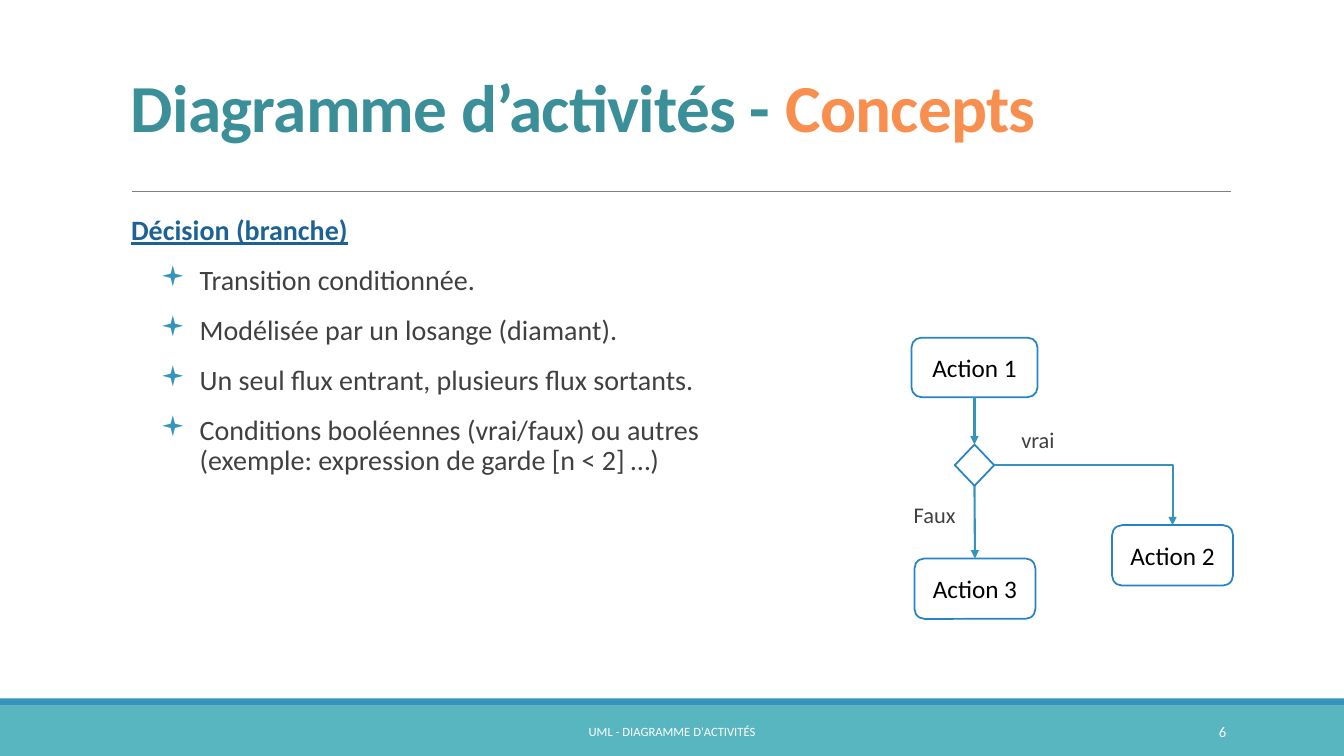
from lxml import etree
from pptx import Presentation
from pptx.dml.color import RGBColor
from pptx.enum.shapes import MSO_CONNECTOR, MSO_SHAPE
from pptx.enum.text import MSO_ANCHOR, PP_ALIGN
from pptx.oxml.ns import qn
from pptx.util import Inches, Pt

RECT, ROUND, DIAMOND = MSO_SHAPE.RECTANGLE, MSO_SHAPE.ROUNDED_RECTANGLE, MSO_SHAPE.DIAMOND
STRAIGHT, ELBOW = MSO_CONNECTOR.STRAIGHT, MSO_CONNECTOR.ELBOW
LEFT, CENTER, RIGHT = PP_ALIGN.LEFT, PP_ALIGN.CENTER, PP_ALIGN.RIGHT
TOP, MIDDLE, BOTTOM = MSO_ANCHOR.TOP, MSO_ANCHOR.MIDDLE, MSO_ANCHOR.BOTTOM
TOP_SITE, BOTTOM_SITE, RIGHT_SITE = 0, 2, 3

WHITE = RGBColor(0xFF, 0xFF, 0xFF)
BLACK = RGBColor(0x00, 0x00, 0x00)
DARK = RGBColor(0x40, 0x40, 0x40)
GRAY = RGBColor(0x80, 0x80, 0x80)
AQUA = RGBColor(0x58, 0xB6, 0xC0)
BLUE = RGBColor(0x34, 0x94, 0xBA)
EDGE = RGBColor(0x26, 0x83, 0xC6)
NAVY = RGBColor(0x1D, 0x62, 0x94)
TEAL = RGBColor(0x3A, 0x8F, 0x98)
ORANGE = RGBColor(0xF8, 0x8F, 0x4E)

FONT = "Calibri"
WIDTH, HEIGHT = 13.33, 7.5
POINTS = [
    "Transition conditionnée.",
    "Modélisée par un losange (diamant).",
    "Un seul flux entrant, plusieurs flux sortants.",
    "Conditions booléennes (vrai/faux) ou autres (exemple: expression de garde [n < 2] …)",
]


def add_run(para, text, size, color, bold=False):
    run = para.add_run()
    run.text = text
    font = run.font
    font.name, font.size, font.bold = FONT, Pt(size), bold
    font.color.rgb = color
    return run


def add_text(slide, box, anchor=TOP, align=LEFT):
    """Add an empty wrapped text box and return its frame."""
    frame = slide.shapes.add_textbox(*map(Inches, box)).text_frame
    frame.word_wrap = True
    frame.vertical_anchor = anchor
    frame.paragraphs[0].alignment = align
    return frame


def add_form(slide, kind, box, fill, edge=None):
    shape = slide.shapes.add_shape(kind, *map(Inches, box))
    shape.shadow.inherit = False
    shape.fill.solid()
    shape.fill.fore_color.rgb = fill
    if edge is None:
        shape.line.fill.background()
    else:
        shape.line.color.rgb = edge
        shape.line.width = Pt(1.25)
    return shape


def add_line(slide, kind, start, end, color, width):
    ends = map(Inches, (*start, *end))
    line = slide.shapes.add_connector(kind, *ends)
    line.line.color.rgb = color
    line.line.width = Pt(width)
    etree.SubElement(line._element.spPr, qn("a:effectLst"))
    return line


def add_arrow(slide, source, site, target, kind=STRAIGHT):
    """Join a site of the source to the top of the target."""
    line = add_line(slide, kind, (0, 0), (1, 1), BLUE, 1.5)
    line.begin_connect(source, site)
    line.end_connect(target, TOP_SITE)
    etree.SubElement(line.line._get_or_add_ln(), qn("a:tailEnd"), type="triangle")
    if kind == ELBOW:
        line._element.spPr.find(qn("a:prstGeom")).set("prst", "bentConnector2")


def set_bullet(para, mark, margin, indent):
    props = para._p.get_or_add_pPr()
    props.set("marL", str(Inches(margin)))
    props.set("indent", str(Inches(indent)))
    color = etree.SubElement(props, qn("a:buClr"))
    etree.SubElement(color, qn("a:srgbClr"), val=str(BLUE))
    etree.SubElement(props, qn("a:buFont"), typeface="Wingdings")
    etree.SubElement(props, qn("a:buChar"), char=mark)


def add_title(slide, box):
    left, top, width, height = box
    frame = add_text(slide, (left, top, width, height - 0.4), BOTTOM)
    para = frame.paragraphs[0]
    para.line_spacing = 0.85
    for text, color in (("Diagramme d’activités - ", TEAL), ("Concepts", ORANGE)):
        run = add_run(para, text, 48, color, True)
        run._r.get_or_add_rPr().set("spc", "-50")
    base = top + height
    add_line(slide, STRAIGHT, (left + 0.11, base), (left + width + 0.01, base), GRAY, 0.5)


def add_body(slide, box):
    frame = add_text(slide, box)
    frame.margin_left = frame.margin_right = 0
    head = frame.paragraphs[0]
    add_run(head, "Décision (branche)", 20, NAVY, True).font.underline = True
    head._p.get_or_add_pPr().set("marL", str(Inches(0.1)))
    for text in POINTS:
        para = frame.add_paragraph()
        add_run(para, text, 20, DARK)
    for para in frame.paragraphs:
        para.line_spacing = 0.9
        para.space_before, para.space_after = Pt(12), Pt(2)
    for para in frame.paragraphs[1:]:
        set_bullet(para, "▪", 0.78, -0.39)


def add_flow(slide, box):
    """Draw the decision with its actions and guards."""
    left, top = box[:2]

    def add_action(text, x, y, width=1.2, height=0.6):
        shape = add_form(slide, ROUND, (left + x, top + y, width, height), WHITE, EDGE)
        frame = shape.text_frame
        frame.vertical_anchor = MIDDLE
        para = frame.paragraphs[0]
        para.alignment = CENTER
        add_run(para, text, 18, BLACK)
        return shape

    first = add_action("Action 1", 0.14, 0, 1.25, 0.59)
    second = add_action("Action 2", 2.13, 1.86)
    third = add_action("Action 3", 0.17, 2.19)
    choice = add_form(slide, DIAMOND, (left + 0.57, top + 1.06, 0.39, 0.41), WHITE, EDGE)
    add_arrow(slide, first, BOTTOM_SITE, choice)
    add_arrow(slide, choice, RIGHT_SITE, second, ELBOW)
    add_arrow(slide, choice, BOTTOM_SITE, third)
    for text, x, y, width in (("vrai", 1.11, 0.83, 0.57), ("Faux", 0, 1.57, 0.74)):
        frame = add_text(slide, (left + x, top + y, width, 0.37), align=CENTER)
        add_run(frame.paragraphs[0], text, 16, DARK)


def add_footer(slide, box):
    left, top, width, height = box
    add_form(slide, RECT, (left, top + 0.07, width, height - 0.07), AQUA)
    add_form(slide, RECT, (left, top, width, 0.07), BLUE)
    for text, x, span, size, align in (
        ("UML - DIAGRAMME D'ACTIVITÉS", 4.03, 5.27, 9, CENTER),
        ("6", 10.83, 1.43, 10.5, RIGHT),
    ):
        frame = add_text(slide, (left + x, top + 0.13, span, 0.4), MIDDLE, align)
        add_run(frame.paragraphs[0], text, size, WHITE)


def main():
    deck = Presentation()
    deck.slide_width, deck.slide_height = Inches(WIDTH), Inches(HEIGHT)
    slide = deck.slides.add_slide(deck.slide_layouts[6])
    add_footer(slide, (0, 6.93, WIDTH, 0.57))
    add_title(slide, (1.2, 0.31, 11, 1.59))
    add_body(slide, (1.2, 2.1, 5.89, 4.61))
    add_flow(slide, (8.9, 3.35, 3.33, 2.79))
    deck.save("out.pptx")


if __name__ == "__main__":
    main()
